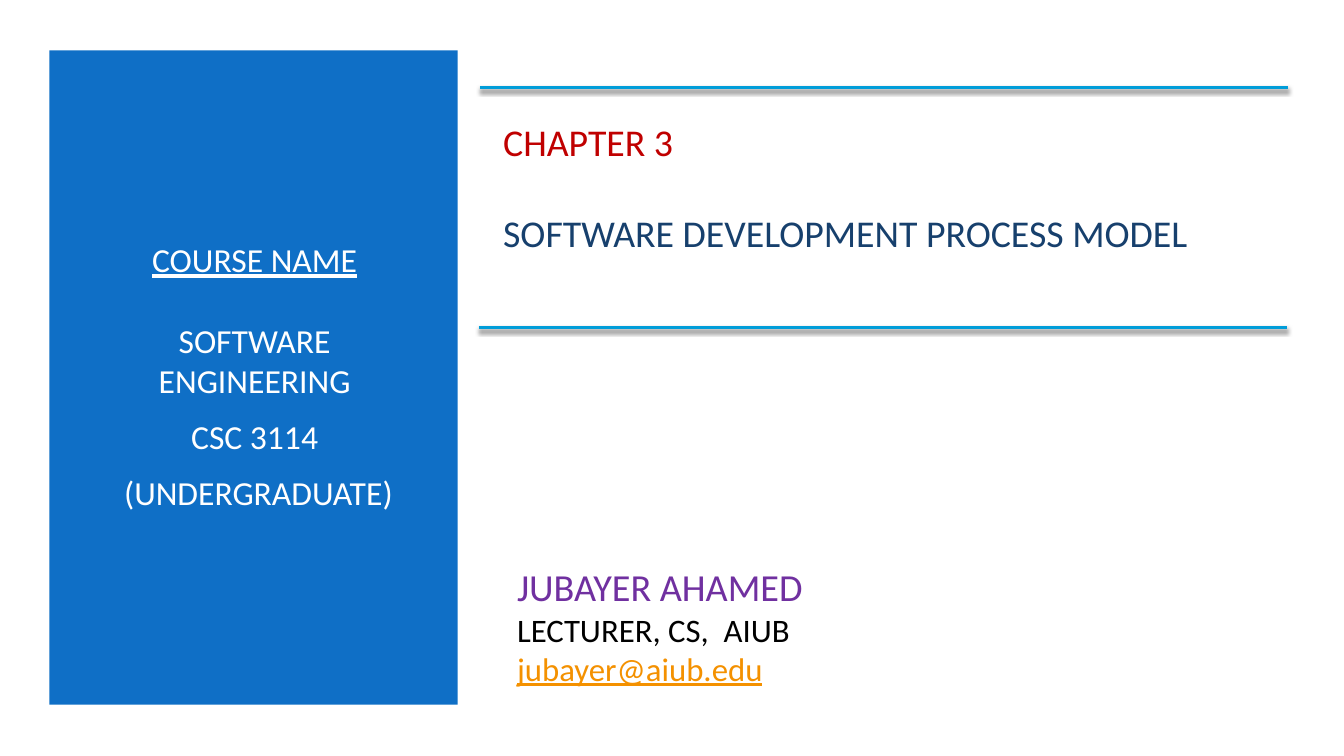
from lxml.etree import SubElement
from pptx import Presentation
from pptx.dml.color import RGBColor
from pptx.enum.shapes import MSO_CONNECTOR, MSO_SHAPE
from pptx.enum.text import MSO_ANCHOR, MSO_AUTO_SIZE, PP_ALIGN
from pptx.oxml.ns import qn
from pptx.util import Inches, Pt

COLORS = {
    "panel": "0F6FC6",
    "white": "FFFFFF",
    "chapter": "C00000",
    "topic": "17406D",
    "author": "7030A0",
    "black": "000000",
    "email": "F49100",
    "rule": "009DD9",
}


class CoverSlide:
    """Style and element methods for the course cover slide."""

    font = "Calibri"

    def __init__(self, prs):
        self.s = prs.slides.add_slide(prs.slide_layouts[0])

    def color(self, name):
        return RGBColor.from_string(COLORS[name])

    def panel(self, x, y, w, h):
        sp = self.s.shapes.add_shape(
            MSO_SHAPE.RECTANGLE, Inches(x), Inches(y), Inches(w), Inches(h))
        sp.shadow.inherit = False
        sp.fill.solid()
        sp.fill.fore_color.rgb = self.color("panel")
        sp.line.fill.background()
        self.s.shapes._spTree.insert(2, sp._element)

    def text(self, sp, box, lines, align=PP_ALIGN.LEFT):
        sp.left, sp.top, sp.width, sp.height = map(Inches, box)
        tf = sp.text_frame
        tf.word_wrap = True
        tf.auto_size = MSO_AUTO_SIZE.NONE
        tf.vertical_anchor = MSO_ANCHOR.MIDDLE
        for i, (text, size, color, before, underline) in enumerate(lines):
            p = tf.paragraphs[0] if i == 0 else tf.add_paragraph()
            p.text = text
            p.alignment = align
            p.space_before, p.space_after = Pt(before), Pt(0)
            p.font.name, p.font.size = self.font, Pt(size)
            p.font.bold, p.font.underline = False, underline
            p.font.color.rgb = self.color(color)

    def textbox(self, box, lines):
        self.text(self.s.shapes.add_textbox(*map(Inches, box)), box, lines)

    def rule(self, x, y, w):
        line = self.s.shapes.add_connector(
            MSO_CONNECTOR.STRAIGHT, Inches(x), Inches(y), Inches(x + w), Inches(y))
        line.line.color.rgb = self.color("rule")
        line.line.width = Pt(2)
        effects = SubElement(line._element.spPr, qn("a:effectLst"))
        shadow = SubElement(effects, qn("a:outerShdw"), blurRad=str(Pt(3)),
                            dist=str(Pt(2)), dir="5400000", rotWithShape="0")
        tint = SubElement(shadow, qn("a:srgbClr"), val=COLORS["black"])
        SubElement(tint, qn("a:alpha"), val="55000")


def main():
    prs = Presentation()
    prs.slide_width, prs.slide_height = Inches(13.33), Inches(7.5)
    cover = CoverSlide(prs)
    title, course = cover.s.placeholders

    cover.panel(0.49, 0.5, 4.05, 6.49)
    cover.text(course, (0.84, 1.1, 3.37, 5.25), [
        ("COURSE NAME", 24, "white", 0, True),
        ("SOFTWARE ENGINEERING", 24, "white", 29, False),
        ("CSC 3114", 24, "white", 11, False),
        (" (UNDERGRADUATE)", 24, "white", 11, False),
    ], PP_ALIGN.CENTER)
    cover.text(title, (4.89, 1.1, 7.85, 1.51), [
        ("CHAPTER 3", 27, "chapter", 0, False),
        ("SOFTWARE DEVELOPMENT PROCESS MODEL", 27, "topic", 33, False),
    ])
    cover.textbox((5.03, 5.43, 6.66, 1.56), [
        ("JUBAYER AHAMED", 27.3, "author", 0, False),
        ("LECTURER, CS,  AIUB", 23.4, "black", 0, False),
        ("jubayer@aiub.edu", 23.4, "email", 0, True),
    ])
    for x, y in ((4.76, 0.87), (4.75, 3.25)):
        cover.rule(x, y, 8.01)

    prs.save("out.pptx")


if __name__ == "__main__":
    main()
